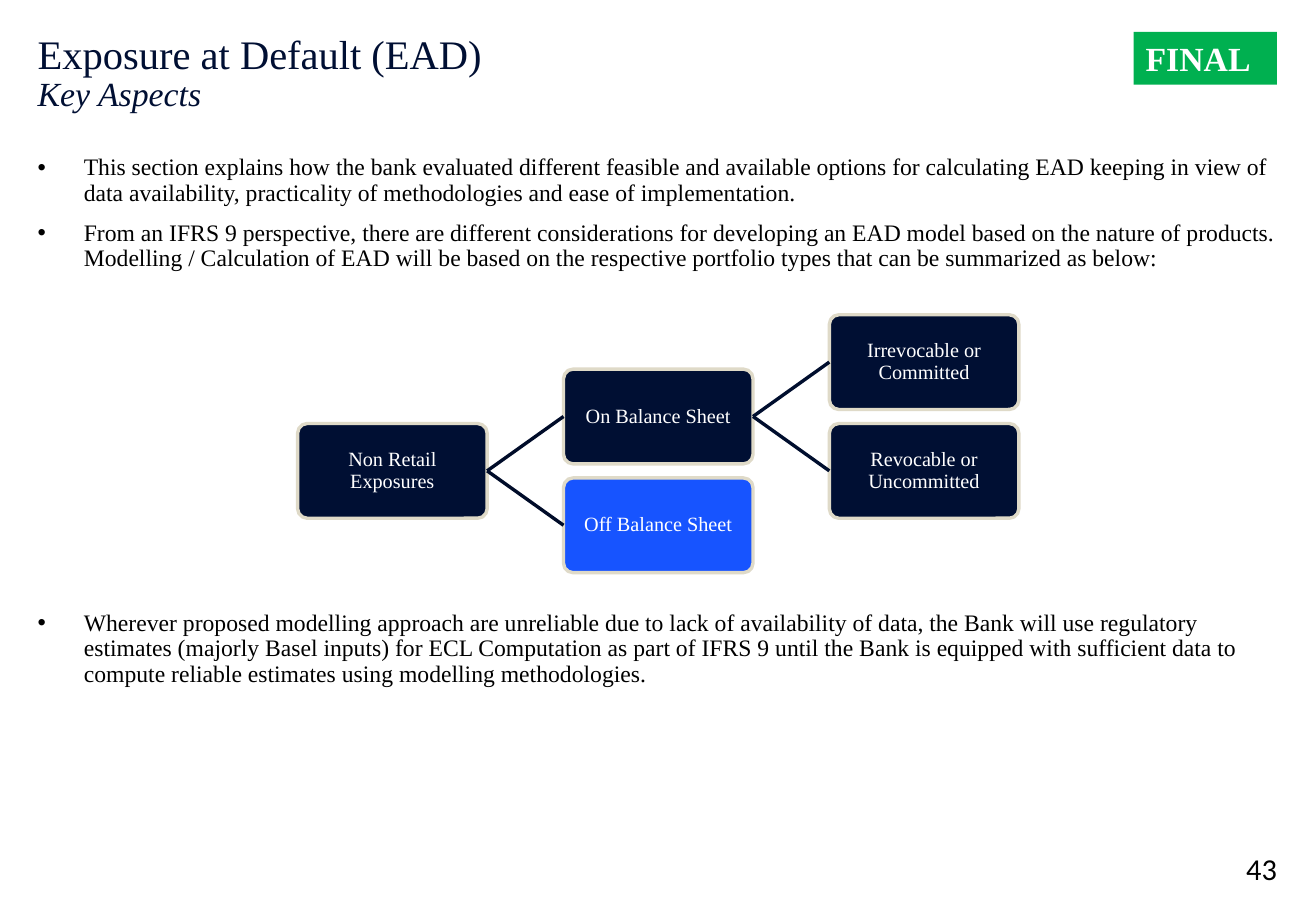
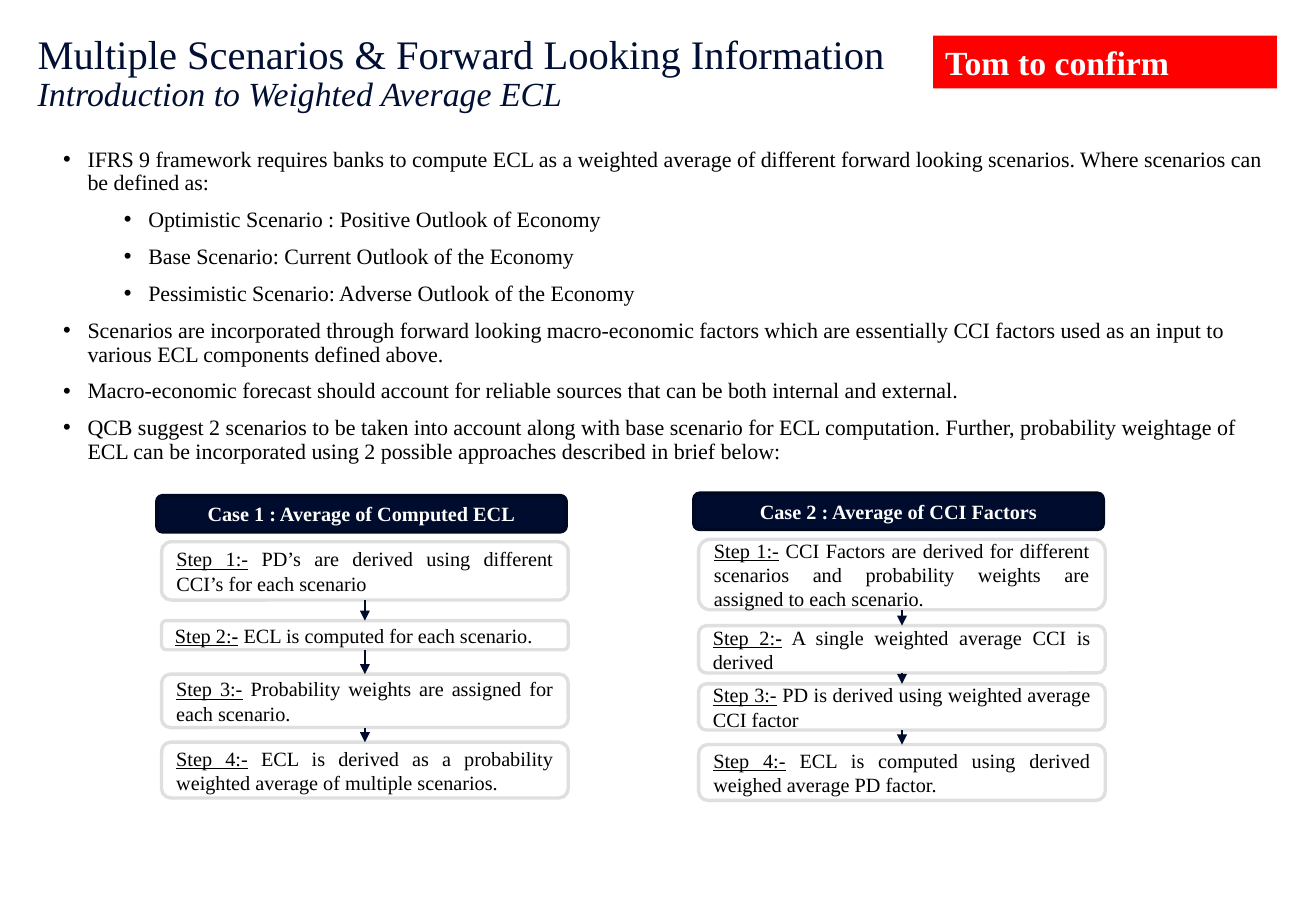
from lxml.etree import SubElement
from pptx import Presentation
from pptx.dml.color import RGBColor
from pptx.enum.shapes import MSO_CONNECTOR, MSO_SHAPE
from pptx.enum.text import MSO_ANCHOR, MSO_AUTO_SIZE, PP_ALIGN
from pptx.oxml.ns import qn
from pptx.util import Inches, Pt

COLORS = {
    "ink": "000000", "paper": "FFFFFF", "navy": "000F33", "blue": "1754FF",
    "sand": "DFDAC8", "branch1": "000C29", "branch2": "000E2E",
    "case": "000C2D", "case_edge": "000921", "step_edge": "DFDFDF",
    "final": "00B050", "open": "FF0000",
}
SERIF = "Times New Roman"
LEFT, WIDTH = 2.86, 94.18
RIGHT = LEFT + WIDTH
TOP, BOTTOM, SIDE_LEFT, SIDE_RIGHT = 0, 2, 1, 3


def rgb(name):
    return RGBColor.from_string(COLORS[name])


class Deck:
    def __init__(self, width, height):
        self.prs = Presentation()
        self.prs.slide_width, self.prs.slide_height = Inches(width), Inches(height)
        self.slide = None

    def box(self, x, y, w, h):
        pw, ph = self.prs.slide_width / 100, self.prs.slide_height / 100
        return [round(v) for v in (x * pw, y * ph, w * pw, h * ph)]

    def place(self, sp, *share):
        sp.left, sp.top, sp.width, sp.height = self.box(*share)

    def frame(self, sp, inset=(0.1, 0.05), anchor=MSO_ANCHOR.TOP):
        tf = sp.text_frame
        tf.word_wrap, tf.auto_size = True, MSO_AUTO_SIZE.NONE
        tf.vertical_anchor = anchor
        tf.margin_left = tf.margin_right = Inches(inset[0])
        tf.margin_top = tf.margin_bottom = Inches(inset[1])
        return tf

    def run(self, p, text, size, color="ink", font=SERIF, **style):
        r = p.add_run()
        r.text = text
        r.font.size, r.font.name = Pt(size), font
        r.font.color.rgb = rgb(color)
        for key, value in style.items():
            setattr(r.font, key, value)

    def new_slide(self, title, subtitle):
        self.slide = self.prs.slides.add_slide(self.prs.slide_layouts[1])
        sp = self.slide.shapes.title
        self.place(sp, LEFT, 3.73, WIDTH, 13.47)
        p = self.frame(sp, (0, 0)).paragraphs[0]
        p.alignment, p.line_spacing = PP_ALIGN.LEFT, 0.9
        self.run(p, title, 24, "navy")
        p.add_line_break()
        self.run(p, subtitle, 20, "navy", italic=True)

    def body(self, share, items, **style):
        sp = self.slide.placeholders[1]
        self.place(sp, *share)
        self.bullets(sp, items, **style)

    def text_list(self, share, items, **style):
        self.bullets(self.slide.shapes.add_textbox(*self.box(*share)), items, **style)

    def bullets(self, sp, items, size=14, hang=0.38, inset=(0, 0)):
        tf = self.frame(sp, inset)
        for i, (level, text) in enumerate(items):
            p = tf.add_paragraph() if i else tf.paragraphs[0]
            pPr = p._p.get_or_add_pPr()
            pPr.set("marL", str(Inches(hang + 0.5 * level)))
            pPr.set("indent", str(-Inches(hang)))
            SubElement(pPr, qn("a:buFont"), typeface="Arial")
            SubElement(pPr, qn("a:buChar"), char="•")
            p.level, p.alignment, p.line_spacing = level, PP_ALIGN.LEFT, 0.9
            p.space_before = Pt(0.6 * size if i else 0)
            self.run(p, text, size)

    def shape(self, kind, share, fill, edge=None):
        sp = self.slide.shapes.add_shape(kind, *self.box(*share))
        sp.shadow.inherit = False
        sp.fill.solid()
        sp.fill.fore_color.rgb = rgb(fill)
        if edge:
            sp.line.color.rgb, sp.line.width = rgb(edge), Pt(2)
        else:
            sp.line.fill.background()
        return sp

    def flag(self, text, fill, y, w):
        sp = self.shape(MSO_SHAPE.RECTANGLE, (RIGHT - w, y, w, 5.8), fill)
        p = self.frame(sp).paragraphs[0]
        p.alignment = PP_ALIGN.LEFT
        self.run(p, text, 20, "paper", bold=True)

    def card(self, share, fill, edge, runs, align=PP_ALIGN.CENTER, inset=(0.1, 0.05)):
        sp = self.shape(MSO_SHAPE.ROUNDED_RECTANGLE, share, fill, edge)
        p = self.frame(sp, inset, MSO_ANCHOR.MIDDLE).paragraphs[0]
        p.alignment = align
        for text, style in runs:
            self.run(p, text, 12, **style)
        return sp

    def join(self, a, a_side, b, b_side, color, width, arrow=False):
        cx = self.slide.shapes.add_connector(MSO_CONNECTOR.STRAIGHT, 0, 0, 0, 0)
        cx.begin_connect(a, a_side)
        cx.end_connect(b, b_side)
        cx.line.color.rgb, cx.line.width = rgb(color), Pt(width)
        if arrow:
            SubElement(cx.line._get_or_add_ln(), qn("a:tailEnd"), type="triangle")
        SubElement(cx._element.spPr, qn("a:effectLst"))

    def tree(self, nodes, links):
        cards = {}
        for name, (col, row, fill) in nodes.items():
            share = (22.62 + 20.2 * col, 34.55 + 5.97 * row, 14.4, 10.4)
            sp = self.card(share, fill, "sand", [(name, {"color": "paper"})],
                           inset=(0.03, 0.03))
            sp.adjustments[0] = 0.1
            sp.text_frame.paragraphs[0].line_spacing = 0.9
            cards[name] = sp
        for a, b in links:
            self.join(cards[a], SIDE_RIGHT, cards[b], SIDE_LEFT,
                      f"branch{nodes[b][0]}", 2)

    def case(self, x, y, title, steps):
        self.card((x, y, 31.12, 4), "case", "case_edge",
                  [(title, {"color": "paper", "bold": True})])
        last = None
        for n, (top, height, text) in enumerate(steps, 1):
            runs = [(f"Step {n}:", {"underline": True}),
                    ("-", {"underline": True, "bold": n == 2}),
                    (f" {text}", {})]
            sp = self.card((x + 0.37, top, 30.9, height), "paper", "step_edge",
                           runs, PP_ALIGN.JUSTIFY)
            if last is not None:
                self.join(last, BOTTOM, sp, TOP, "case", 0.75, arrow=True)
            last = sp

    def page_number(self, text):
        sp = self.slide.shapes.add_textbox(*self.box(RIGHT - 4.43, 93.2, 4.43, 4.13))
        p = self.frame(sp, (0, 0), MSO_ANCHOR.BOTTOM).paragraphs[0]
        p.alignment = PP_ALIGN.RIGHT
        self.run(p, text, 18, font="Calibri")


def exposure_slide(deck):
    deck.new_slide("Exposure at Default (EAD)", "Key Aspects")
    deck.body((LEFT, 17.07, WIDTH, 13.2), [
        (0, "This section explains how the bank evaluated different feasible and available options for calculating EAD keeping in view of data availability, practicality of methodologies and ease of implementation."),
        (0, "From an IFRS 9 perspective, there are different considerations for developing an EAD model based on the nature of products. Modelling / Calculation of EAD will be based on the respective portfolio types that can be summarized as below:"),
    ])
    root, on, off = "Non Retail Exposures", "On Balance Sheet", "Off Balance Sheet"
    firm, loose = "Irrevocable or Committed", "Revocable or Uncommitted"
    deck.tree(
        {root: (0, 2, "navy"), on: (1, 1, "navy"), firm: (2, 0, "navy"),
         loose: (2, 2, "navy"), off: (1, 3, "blue")},
        [(root, on), (root, off), (on, firm), (on, loose)])
    deck.text_list((LEFT, 67.07, WIDTH, 8.53), [
        (0, "Wherever proposed modelling approach are unreliable due to lack of availability of data, the Bank will use regulatory estimates (majorly Basel inputs) for ECL Computation as part of IFRS 9 until the Bank is equipped with sufficient data to compute reliable estimates using modelling methodologies."),
    ])
    deck.flag("FINAL", "final", 3.5, 10.9)
    deck.page_number("43")


def scenario_slide(deck):
    deck.new_slide("Multiple Scenarios & Forward Looking Information",
                   "Introduction to Weighted Average ECL")
    deck.body((3.88, 15.6, RIGHT - 3.88, 38.13), [
        (0, "IFRS 9 framework requires banks to compute ECL as a weighted average of different forward looking scenarios. Where scenarios can be defined as:"),
        (1, "Optimistic Scenario : Positive Outlook of Economy"),
        (1, "Base Scenario: Current Outlook of the Economy"),
        (1, "Pessimistic Scenario: Adverse Outlook of the Economy"),
        (0, "Scenarios are incorporated through forward looking macro-economic factors which are essentially CCI factors used as an input to various ECL components defined above."),
        (0, "Macro-economic forecast should account for reliable sources that can be both internal and external."),
        (0, "QCB suggest 2 scenarios to be taken into account along with base scenario for ECL computation. Further, probability weightage of ECL can be incorporated using 2 possible approaches described in brief below:"),
    ], size=13, hang=0.2, inset=(0.1, 0.05))
    deck.case(11.91, 54.4, "Case 1 : Average of Computed ECL", [
        (59.47, 6.4, "PD’s are derived using different CCI’s for each scenario"),
        (68.13, 3.2, "ECL is computed for each scenario."),
        (74, 5.87, "Probability weights are assigned for each scenario."),
        (81.47, 6.13, "ECL is derived as a probability weighted average of multiple scenarios."),
    ])
    deck.case(52.72, 54.13, "Case 2 : Average of CCI Factors", [
        (59.2, 7.73, "CCI Factors are derived for different scenarios and probability weights are assigned to each scenario."),
        (68.67, 5.2, "A single weighted average CCI is derived"),
        (75.07, 5.07, "PD is derived using weighted average CCI factor"),
        (81.73, 6.13, "ECL is computed using derived weighed average PD factor."),
    ])
    deck.flag("Tom to confirm", "open", 3.9, 26.13)


def main():
    deck = Deck(10.83, 7.5)
    exposure_slide(deck)
    scenario_slide(deck)
    deck.prs.save("out.pptx")


if __name__ == "__main__":
    main()
